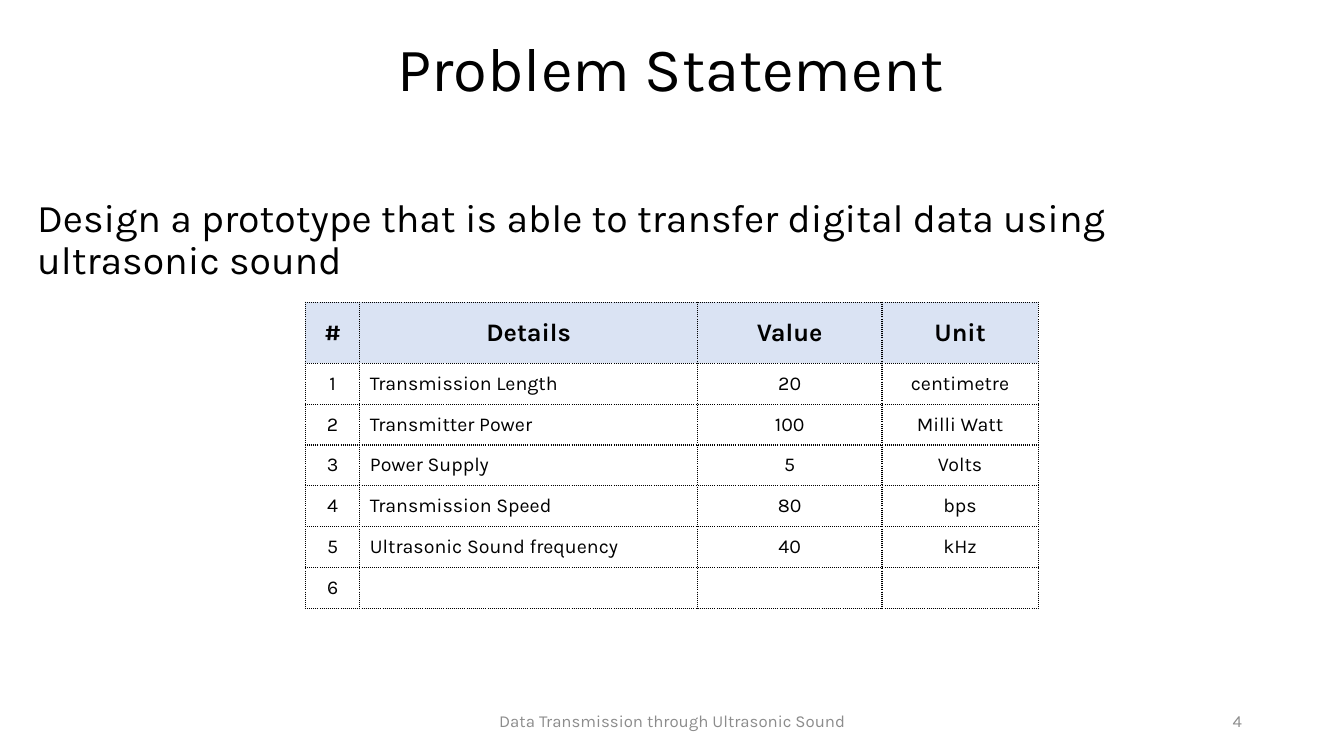
from dataclasses import dataclass

from lxml import etree
from pptx import Presentation
from pptx.dml.color import RGBColor
from pptx.enum.text import MSO_ANCHOR, PP_ALIGN
from pptx.oxml.ns import qn
from pptx.util import Inches, Pt

LEFT, CENTER, RIGHT = PP_ALIGN.LEFT, PP_ALIGN.CENTER, PP_ALIGN.RIGHT
TOP, MIDDLE = MSO_ANCHOR.TOP, MSO_ANCHOR.MIDDLE
GRID_COLUMNS = 160


@dataclass(frozen=True)
class Theme:
    """Typeface, type sizes, colours and rules of the deck."""
    face: str = "Karla"
    title: int = 44
    body: int = 28
    heading: int = 18
    cell: int = 14
    footer: int = 12
    ink: str = "000000"
    muted: str = "8C8C8C"
    header_fill: str = "DAE3F3"
    border: int = 1
    leading: float = 0.9


THEME = Theme()
HEADINGS = ["#", "Details", "Value", "Unit"]
REQUIREMENTS = [
    ["1", "Transmission Length", "20", "centimetre"],
    ["2", "Transmitter Power", "100", "Milli Watt"],
    ["3", "Power Supply", "5", "Volts"],
    ["4", "Transmission Speed", "80", "bps"],
    ["5", "Ultrasonic Sound frequency", "40", "kHz"],
    ["6", "", "", ""],
]
COLUMN_SPANS = [6.48, 40.2, 21.96, 18.6]
HEADER_SPAN, ROW_SPAN = 7.28, 4.86


def style_paragraph(para, size, align, color=THEME.ink, bold=False):
    """Set the alignment and font of one paragraph."""
    para.alignment = align
    para.font.name = THEME.face
    para.font.size = Pt(size)
    para.font.bold = bold
    para.font.color.rgb = RGBColor.from_string(color)


def add_text(page, box, text, size, align, anchor=MIDDLE, color=THEME.ink, leading=1.0):
    """Place one paragraph of wrapped text in a box."""
    frame = page.shapes.add_textbox(*box).text_frame
    frame.word_wrap = True
    frame.vertical_anchor = anchor
    para = frame.paragraphs[0]
    para.text = text
    para.line_spacing = leading
    style_paragraph(para, size, align, color)


def add_dotted_borders(cell):
    """Draw a dotted rule on the four sides of a cell."""
    properties = cell._tc.get_or_add_tcPr()
    for side in ("lnL", "lnR", "lnT", "lnB"):
        line = etree.SubElement(properties, qn(f"a:{side}"), w=str(Pt(THEME.border)))
        fill = etree.SubElement(line, qn("a:solidFill"))
        etree.SubElement(fill, qn("a:srgbClr"), val=THEME.ink)
        etree.SubElement(line, qn("a:prstDash"), val="sysDot")


def fill_cell(cell, text, align, is_header):
    """Write and style one table cell."""
    add_dotted_borders(cell)
    if is_header:
        cell.fill.solid()
        cell.fill.fore_color.rgb = RGBColor.from_string(THEME.header_fill)
    else:
        cell.fill.background()
    cell.vertical_anchor = MIDDLE
    para = cell.text_frame.paragraphs[0]
    para.text = text
    size = THEME.heading if is_header else THEME.cell
    style_paragraph(para, size, align, bold=is_header)


def add_requirements(page, box, unit):
    """Build the table of requirements in a box."""
    records = [HEADINGS] + REQUIREMENTS
    table = page.shapes.add_table(len(records), len(HEADINGS), *box).table
    table.horz_banding = False
    for column, span in zip(table.columns, COLUMN_SPANS):
        column.width = round(span * unit)
    for row_index, record in enumerate(records):
        is_header = row_index == 0
        table.rows[row_index].height = round((HEADER_SPAN if is_header else ROW_SPAN) * unit)
        for column_index, text in enumerate(record):
            align = LEFT if column_index == 1 and not is_header else CENTER
            fill_cell(table.cell(row_index, column_index), text, align, is_header)


def add_footer(page, box, unit):
    """Place the footer text and the page number in a strip."""
    left, top, width, height = box
    caption_width, number_width = round(54 * unit), round(36 * unit)
    number_left = left + width - number_width
    add_text(page, (left, top, caption_width, height),
             "Data Transmission through Ultrasonic Sound",
             THEME.footer, CENTER, color=THEME.muted)
    add_text(page, (number_left, top, number_width, height), "4",
             THEME.footer, RIGHT, color=THEME.muted)


def build_problem_page(deck):
    """Lay out the problem statement page on the grid."""
    page = deck.slides.add_slide(deck.slide_layouts[6])
    unit = deck.slide_width / GRID_COLUMNS

    def area(*spans):
        """Turn grid spans into slide lengths."""
        return tuple(round(span * unit) for span in spans)

    add_text(page, area(11.64, 2.88, 136.44, 11.28), "Problem Statement",
             THEME.title, CENTER, leading=THEME.leading)
    add_text(page, area(3.24, 23.04, 138, 56.16),
             "Design a prototype that is able to transfer digital data using ultrasonic sound",
             THEME.body, LEFT, TOP, leading=THEME.leading)
    table_height = HEADER_SPAN + ROW_SPAN * len(REQUIREMENTS)
    add_requirements(page, area(36.36, 36, sum(COLUMN_SPANS), table_height), unit)
    add_footer(page, area(53.04, 83.4, 96, 4.8), unit)


def main():
    """Create and save the deck."""
    deck = Presentation()
    deck.slide_width, deck.slide_height = Inches(13.33), Inches(7.5)
    build_problem_page(deck)
    deck.save("out.pptx")


if __name__ == "__main__":
    main()
